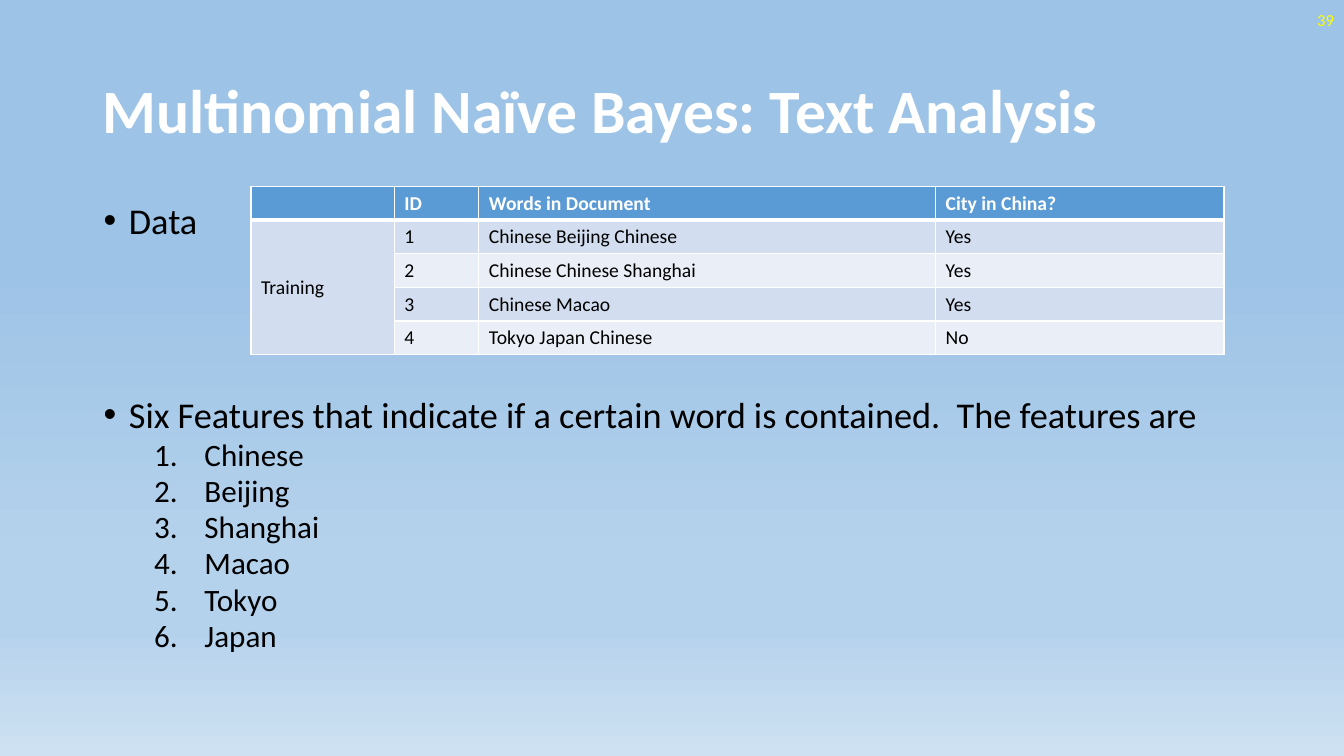
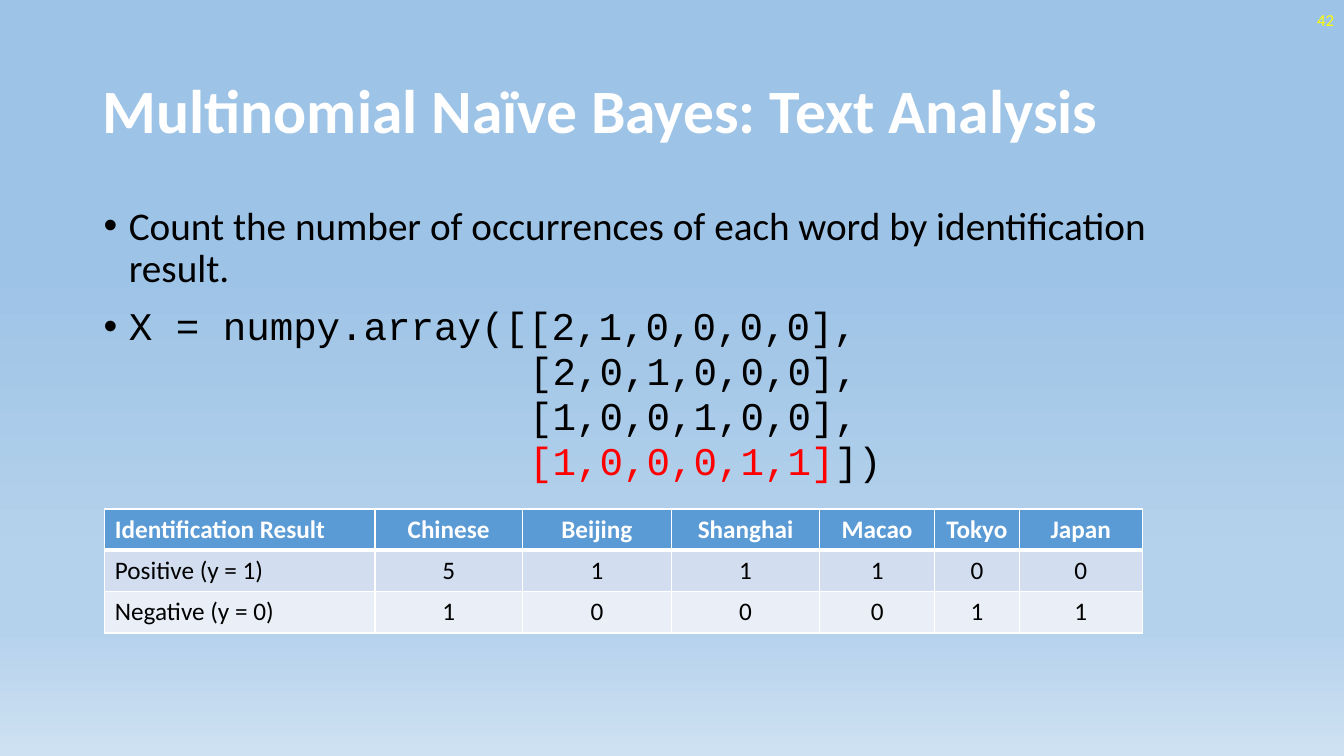
from lxml.etree import SubElement as Sub
from pptx import Presentation
from pptx.dml.color import RGBColor as RGB
from pptx.enum.text import MSO_ANCHOR as Anchor, PP_ALIGN as Align
from pptx.oxml.ns import qn
from pptx.util import Inches, Pt

COLORS = {
    "white": "FFFFFF", "black": "000000", "red": "FF0000", "yellow": "FFFF00",
    "head": "5B9BD5", "odd": "D2DEEF", "even": "EAEFF7",
}
SKY = [(35, "9DC3E6"), (74, "B5D2EC"), (83, "B5D2EC"), (100, "CEE1F2")]
SANS, MONO = "Calibri", "Courier New"
TITLE = "Multinomial Naïve Bayes: Text Analysis"


def paint(node, color):
    Sub(node, qn("a:srgbClr"), val=color)


class Deck:
    def __init__(self):
        self.prs = Presentation()
        self.prs.slide_width, self.prs.slide_height = Inches(13.33), Inches(7.5)
        self.slide = None
        self.set_sky()

    def set_sky(self):
        """Give the master a vertical gradient that every slide inherits."""
        back = self.prs.slide_master.background
        back.fill.gradient()
        back.fill.gradient_angle = 270
        stops = next(back._cSld.iter(qn("a:gsLst")))
        for stop in list(stops):
            stops.remove(stop)
        for pos, color in SKY:
            paint(Sub(stops, qn("a:gs"), pos=str(pos * 1000)), color)

    def new(self, title, number):
        self.slide = self.prs.slides.add_slide(self.prs.slide_layouts[5])
        head = self.slide.shapes.title
        head.left, head.top = Inches(0.92), Inches(0.4)
        head.width, head.height = Inches(11.5), Inches(1.45)
        head.text_frame.vertical_anchor = Anchor.MIDDLE
        par = head.text_frame.paragraphs[0]
        par.alignment, par.line_spacing = Align.LEFT, 0.9
        self.run(par, title, 44, "white", bold=True)

        frame = self.box(10.33, 0, 3, 0.4)
        frame.vertical_anchor = Anchor.MIDDLE
        par = frame.paragraphs[0]
        par.alignment = Align.RIGHT
        self.run(par, number, 12, "yellow")

    def box(self, left, top, width, height):
        spot = [Inches(n) for n in (left, top, width, height)]
        frame = self.slide.shapes.add_textbox(*spot).text_frame
        frame.word_wrap = True
        return frame

    def body(self):
        return self.box(0.93, 2, 11.5, 4.76)

    def run(self, par, text, size, color="black", font=SANS, bold=False):
        run = par.add_run()
        run.text = text
        run.font.size, run.font.name, run.font.bold = Pt(size), font, bold
        run.font.color.rgb = RGB.from_string(COLORS[color])

    def par(self, frame, runs, size, line, before=0, mark=None,
            left=0.25, hang=0.25, font=SANS):
        """Add a paragraph of (text, color) runs; mark is a bullet or "1."."""
        par = frame.paragraphs[0]
        if par.runs:
            par = frame.add_paragraph()
        par.line_spacing, par.space_before = line, Pt(before)
        props = par._p.get_or_add_pPr()
        props.set("marL", str(Inches(left)))
        props.set("indent", str(-Inches(hang)))
        if mark == "1.":
            Sub(props, qn("a:buAutoNum"), type="arabicPeriod")
        elif mark:
            Sub(props, qn("a:buFont"), typeface="Arial")
            Sub(props, qn("a:buChar"), char=mark)
        for text, color in runs:
            self.run(par, text, size, color, font)

    def edge(self, cell, row):
        """Draw white cell borders, with a thick rule below the header row."""
        props = cell._tc.get_or_add_tcPr()
        thick = {"B": row == 0, "T": row == 1}
        for side in "LRTB":
            width = Pt(3 if thick.get(side) else 1)
            line = Sub(props, qn("a:ln" + side), w=str(width))
            paint(Sub(line, qn("a:solidFill")), COLORS["white"])

    def table(self, left, top, cols, high, rows, size, middle=False):
        """Build a table; middle centres all columns but the first."""
        grid = self.slide.shapes.add_table(
            len(rows), len(cols), Inches(left), Inches(top),
            Inches(sum(cols)), Inches(high * len(rows))).table
        grid.horz_banding = False
        for col, width in zip(grid.columns, cols):
            col.width = Inches(width)
        for r, row in enumerate(rows):
            grid.rows[r].height = Inches(high)
            fill = "head" if r == 0 else "odd" if r % 2 else "even"
            for c, text in enumerate(row):
                cell = grid.cell(r, c)
                self.edge(cell, r)
                cell.fill.solid()
                cell.fill.fore_color.rgb = RGB.from_string(COLORS[fill])
                par = cell.text_frame.paragraphs[0]
                par.font.size = Pt(size)
                if middle:
                    cell.vertical_anchor = Anchor.MIDDLE
                    par.alignment = Align.CENTER if c else Align.LEFT
                if text:
                    self.run(par, text, size, "black" if r else "white",
                             bold=r == 0)
        return grid


def add_data(deck):
    deck.new(TITLE, "39")
    frame = deck.body()
    deck.par(frame, [("Data", "black")], 25.9, 0.8, mark="•")
    note = ("Six Features that indicate if a certain word is contained.  "
            "The features are")
    deck.par(frame, [(note, "black")], 25.9, 0.8, 114, "•")
    for word in ("Chinese", "Beijing", "Shanghai", "Macao", "Tokyo", "Japan"):
        deck.par(frame, [(word, "black")], 22.2, 0.8, 4.6, "1.", 1, 0.5)

    grid = deck.table(2.49, 1.85, [1.42, 0.84, 4.53, 2.86], 0.33, [
        ["", "ID", "Words in Document", "City in China?"],
        ["Training", "1", "Chinese Beijing Chinese", "Yes"],
        ["", "2", "Chinese Chinese Shanghai", "Yes"],
        ["", "3", "Chinese Macao", "Yes"],
        ["", "4", "Tokyo Japan Chinese", "No"],
    ], 14)
    label = grid.cell(1, 0)
    label.merge(grid.cell(4, 0))
    label.vertical_anchor = Anchor.MIDDLE


def add_counts(deck):
    deck.new(TITLE, "42")
    frame = deck.body()
    note = ("Count the number of occurrences of each word by "
            "identification result.")
    deck.par(frame, [(note, "black")], 28, 0.9, mark="•")
    start = [("X = numpy.array([[2,1,0,0,0,0],", "black")]
    deck.par(frame, start, 28, 0.95, 10, "•", font=MONO)
    for runs in ([("[2,0,1,0,0,0],", "black")],
                 [("[1,0,0,1,0,0],", "black")],
                 [("[1,0,0,0,1,1]", "red"), ("])", "black")]):
        deck.par(frame, runs, 28, 0.95, left=4.22, hang=0, font=MONO)

    deck.table(1.04, 5.05, [2.68, 1.46, 1.48, 1.47, 1.14, 0.84, 1.22], 0.41, [
        ["Identification Result", "Chinese", "Beijing", "Shanghai", "Macao",
         "Tokyo", "Japan"],
        ["Positive (y = 1)", *"511100"],
        ["Negative (y = 0)", *"100011"],
    ], 18, middle=True)


def main():
    deck = Deck()
    add_data(deck)
    add_counts(deck)
    deck.prs.save("out.pptx")


if __name__ == "__main__":
    main()
